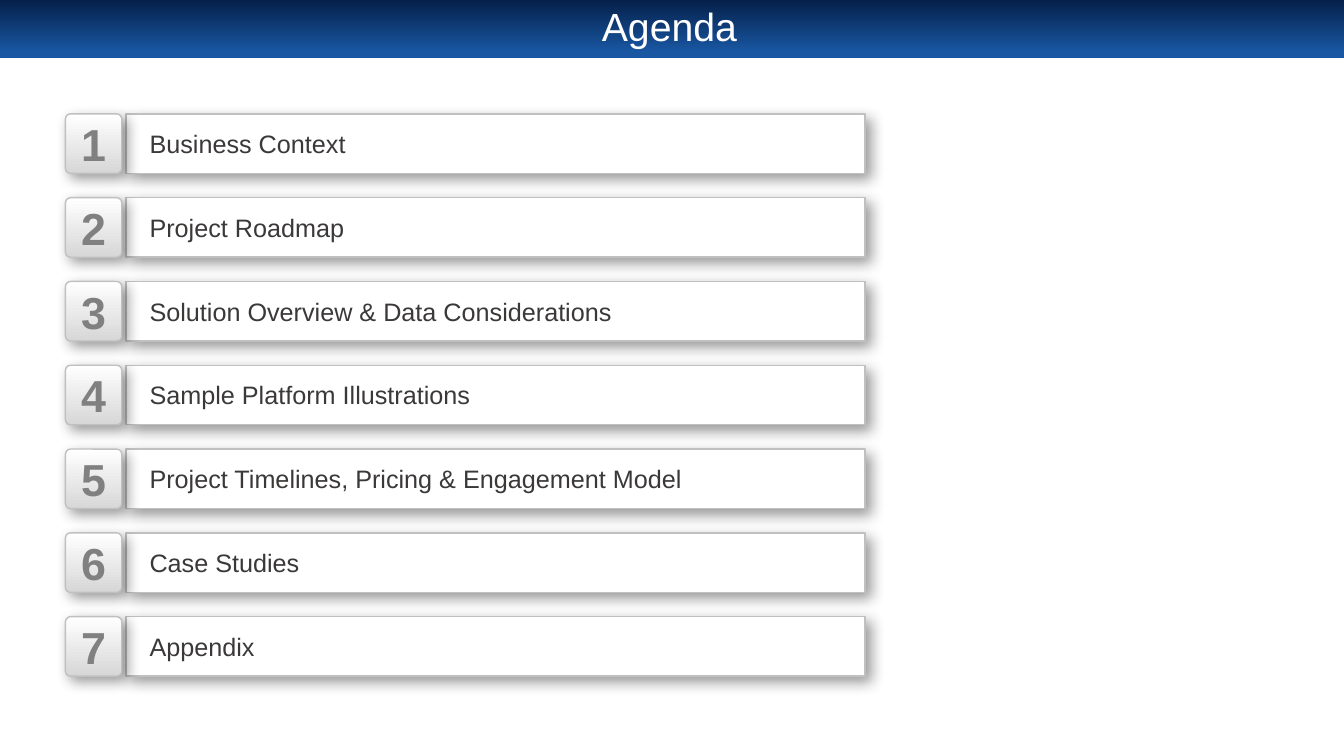
from lxml.etree import SubElement
from pptx import Presentation
from pptx.dml.color import RGBColor
from pptx.enum.shapes import MSO_SHAPE
from pptx.enum.text import MSO_ANCHOR, MSO_AUTO_SIZE, PP_ALIGN
from pptx.oxml.ns import qn
from pptx.util import Cm, Pt

WHITE = RGBColor(0xFF, 0xFF, 0xFF)
NAVY = RGBColor(0x05, 0x20, 0x49)
BLUE = RGBColor(0x19, 0x57, 0xA3)
SILVER = RGBColor(0xD7, 0xD7, 0xD7)
BORDER = RGBColor(0xC0, 0xC0, 0xC0)
NUMBER_GREY = RGBColor(0x80, 0x80, 0x80)
TOPIC_GREY = RGBColor(0x3B, 0x38, 0x38)
FONT = "Arial"

TOPICS = [
    ("Business Context", Cm(18.3)),
    ("Project Roadmap", Cm(5.8)),
    ("Solution Overview & Data Considerations", Cm(12.6)),
    ("Sample Platform Illustrations", Cm(9)),
    ("Project Timelines, Pricing & Engagement Model", Cm(14.4)),
    ("Case Studies", Cm(4.6)),
    ("Appendix", Cm(3.5)),
]


def fill_gradient(shape, start, end, end_position, angle):
    """Fill a shape with a two-colour linear gradient."""
    shape.fill.gradient()
    shape.fill.gradient_angle = angle
    first, last = shape.fill.gradient_stops
    first.color.rgb, first.position = start, 0
    last.color.rgb, last.position = end, end_position


def style_text(paragraph, size, color, bold=False):
    """Set the font of a whole paragraph."""
    font = paragraph.font
    font.name, font.size, font.bold = FONT, Pt(size), bold
    font.color.rgb = color


def add_raised_shape(shapes, kind, left, top, width, height):
    """Add a grey-bordered shape with a soft shadow to the lower right."""
    raised = shapes.add_shape(kind, left, top, width, height)
    raised.line.color.rgb = BORDER
    raised.line.width = Pt(1)
    raised.shadow.inherit = False
    effects = raised.element.spPr.find(qn("a:effectLst"))
    shadow = SubElement(effects, qn("a:outerShdw"), blurRad=str(Pt(10)),
                        dist=str(Pt(5)), dir="2700000", algn="tl", rotWithShape="0")
    black = SubElement(shadow, qn("a:srgbClr"), val="000000")
    SubElement(black, qn("a:alpha"), val="40000")
    return raised


def add_header(slide, left, top, width, height):
    """Place the gradient band with the slide title on it."""
    band = slide.shapes.add_shape(MSO_SHAPE.RECTANGLE, left, top, width, height)
    fill_gradient(band, NAVY, BLUE, 0.9, 270)
    band.line.fill.background()
    band.shadow.inherit = False

    title = slide.shapes.title
    band.element.addnext(title.element)
    title.left, title.top = left + Cm(1.68), top + Cm(0.15)
    title.width, title.height = width - Cm(3.49), Cm(1.14)
    title.text_frame.text = "Agenda"
    title.text_frame.auto_size = MSO_AUTO_SIZE.NONE
    title.text_frame.vertical_anchor = MSO_ANCHOR.MIDDLE
    heading = title.text_frame.paragraphs[0]
    heading.alignment = PP_ALIGN.CENTER
    heading.line_spacing = 0.9
    style_text(heading, 28, WHITE)


def add_agenda_row(slide, number, topic, topic_width, left, top, width, height):
    """Place one group of bar, numbered badge and topic."""
    shapes = slide.shapes.add_group_shape().shapes
    bar_offset = Cm(1.53)
    bar = add_raised_shape(shapes, MSO_SHAPE.RECTANGLE,
                           left + bar_offset, top, width - bar_offset, height)
    bar.fill.solid()
    bar.fill.fore_color.rgb = WHITE

    badge = add_raised_shape(shapes, MSO_SHAPE.ROUNDED_RECTANGLE,
                             left, top, Cm(1.42), height)
    badge.adjustments[0] = 0.09
    fill_gradient(badge, SILVER, WHITE, 1, 90)
    frame = badge.text_frame
    frame.margin_left = frame.margin_right = 0
    frame.margin_top = frame.margin_bottom = 0
    frame.vertical_anchor = MSO_ANCHOR.MIDDLE
    frame.text = str(number)
    frame.paragraphs[0].alignment = PP_ALIGN.CENTER
    style_text(frame.paragraphs[0], 32, NUMBER_GREY, bold=True)

    topic_height = Cm(1.02)
    label = shapes.add_textbox(left + Cm(1.87), top + (height - topic_height) // 2,
                               topic_width, topic_height)
    label.text_frame.text = topic
    label.text_frame.word_wrap = True
    label.text_frame.auto_size = MSO_AUTO_SIZE.SHAPE_TO_FIT_TEXT
    style_text(label.text_frame.paragraphs[0], 18, TOPIC_GREY)


def add_agenda(slide, left, top, width, height):
    """Spread the agenda rows evenly over the box."""
    row_height = Cm(1.5)
    pitch = (height - row_height) // (len(TOPICS) - 1)
    for index, (topic, topic_width) in enumerate(TOPICS):
        add_agenda_row(slide, index + 1, topic, topic_width,
                       left, top + index * pitch, width, row_height)


def main():
    """Build and save the agenda slide."""
    presentation = Presentation()
    presentation.slide_width = Cm(33.87)
    presentation.slide_height = Cm(19.05)
    slide = presentation.slides.add_slide(presentation.slide_layouts[5])
    add_header(slide, 0, 0, presentation.slide_width, Cm(1.47))
    add_agenda(slide, Cm(1.65), Cm(2.87), Cm(20.15), Cm(14.17))
    presentation.save("out.pptx")


if __name__ == "__main__":
    main()
